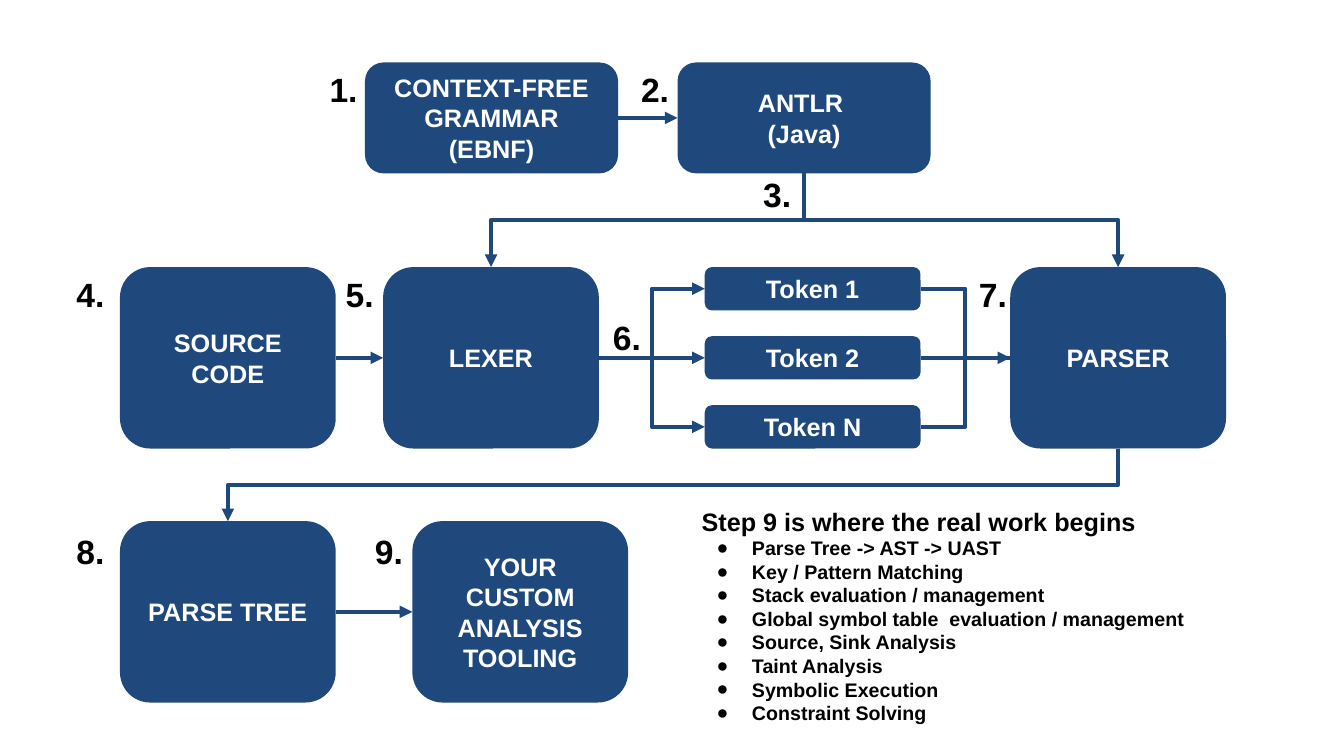
from lxml.etree import SubElement
from pptx import Presentation
from pptx.dml.color import RGBColor
from pptx.enum.shapes import MSO_CONNECTOR, MSO_SHAPE
from pptx.enum.text import MSO_ANCHOR, PP_ALIGN
from pptx.oxml.ns import qn
from pptx.util import Inches, Pt

COLORS = {"box": "1F497D", "box text": "FFFFFF", "text": "000000"}
FONT = "Arial"
TOP, LEFT, BOTTOM, RIGHT = range(4)  # connection sites of a box

# Rows and columns of the diagram, in inches
ROWS = {"generator": 0.62, "pipeline": 2.65, "result": 5.17}
SIZES = {"wide": (2.51, 1.1), "stage": (2.14, 1.8), "token": (2.14, 0.43)}
TOKEN_LEFT = 6.99
TOKENS = ["Token 1", "Token 2", "Token N"]

# name: (lines, left, row, size)
BOXES = {
    "grammar": (["CONTEXT-FREE GRAMMAR", "(EBNF)"], 3.62, "generator", "wide"),
    "antlr": (["ANTLR ", "(Java)"], 6.72, "generator", "wide"),
    "source": (["SOURCE CODE"], 1.19, "pipeline", "stage"),
    "lexer": (["LEXER"], 3.8, "pipeline", "stage"),
    "parser": (["PARSER"], 10.02, "pipeline", "stage"),
    "tree": (["PARSE TREE"], 1.19, "result", "stage"),
    "tooling": (["YOUR", "CUSTOM", "ANALYSIS", "TOOLING"], 4.09, "result", "stage"),
}

# (from, to, has an arrowhead)
ACROSS = [
    ("grammar", "antlr", True),
    ("source", "lexer", True),
    ("lexer", "Token 1", True),
    ("lexer", "Token 2", True),
    ("lexer", "Token N", True),
    ("Token 1", "parser", False),
    ("Token 2", "parser", True),
    ("Token N", "parser", False),
    ("tree", "tooling", True),
]
DOWN = [("antlr", "lexer"), ("antlr", "parser"), ("parser", "tree")]

# (left, top) of the step numbers 1 to 9
STEPS = [
    (3.17, 0.58), (6.26, 0.58), (7.47, 1.63),
    (0.66, 2.62), (3.33, 2.62), (5.98, 3.04),
    (9.61, 2.62), (0.66, 5.17), (3.62, 5.17),
]
NOTES_TITLE = "Step 9 is where the real work begins"
NOTES = [
    "Parse Tree -> AST -> UAST",
    "Key / Pattern Matching",
    "Stack evaluation / management",
    "Global symbol table  evaluation / management",
    "Source, Sink Analysis",
    "Taint Analysis",
    "Symbolic Execution",
    "Constraint Solving",
]


def color(name):
    return RGBColor.from_string(COLORS[name])


def write(shape, lines, size, color_name, alignment, anchor):
    frame = shape.text_frame
    frame.text = "\n".join(lines)
    frame.word_wrap = True
    frame.vertical_anchor = anchor
    frame.margin_left = frame.margin_right = Inches(0.1)
    frame.margin_top = frame.margin_bottom = Inches(0.1)
    for paragraph in frame.paragraphs:
        paragraph.alignment = alignment
        for run in paragraph.runs:
            run.font.name = FONT
            run.font.size = Pt(size)
            run.font.bold = True
            run.font.color.rgb = color(color_name)
    return frame


def add_box(slide, lines, left, top, size):
    width, height = SIZES[size]
    box = slide.shapes.add_shape(
        MSO_SHAPE.ROUNDED_RECTANGLE,
        Inches(left), Inches(top), Inches(width), Inches(height))
    box.shadow.inherit = False
    box.fill.solid()
    box.fill.fore_color.rgb = color("box")
    box.line.fill.background()
    write(box, lines, 18, "box text", PP_ALIGN.CENTER, MSO_ANCHOR.MIDDLE)
    return box


def add_text(slide, lines, left, top, width, height, size):
    box = slide.shapes.add_textbox(
        Inches(left), Inches(top), Inches(width), Inches(height))
    return write(box, lines, size, "text", PP_ALIGN.LEFT, MSO_ANCHOR.TOP)


def connect(slide, start, start_site, end, end_site, arrow=True):
    level = abs(start.top + start.height / 2 - end.top - end.height / 2) < Inches(0.02)
    kind = MSO_CONNECTOR.STRAIGHT if level else MSO_CONNECTOR.ELBOW
    connector = slide.shapes.add_connector(kind, 0, 0, 0, 0)
    connector.begin_connect(start, start_site)
    connector.end_connect(end, end_site)
    connector.line.color.rgb = color("box")
    connector.line.width = Pt(3)
    properties = connector._element.spPr
    if arrow:
        SubElement(connector.line._get_or_add_ln(), qn("a:tailEnd"), type="triangle")
    SubElement(properties, qn("a:effectLst"))
    return connector


def turn_downwards(connector):
    """Rotate an elbow so that it leaves and arrives vertically."""
    goes_right = connector.end_x > connector.begin_x
    left, top = connector.left, connector.top
    width, height = connector.width, connector.height
    connector.left = left + (width - height) // 2
    connector.top = top + (height - width) // 2
    connector.width, connector.height = height, width
    transform = connector._element.spPr.find(qn("a:xfrm"))
    transform.set("rot", str((270 if goes_right else 90) * 60000))
    transform.set("flipH", "1" if goes_right else "0")


def add_bullet(paragraph):
    properties = paragraph._p.get_or_add_pPr()
    properties.set("marL", str(Inches(0.5)))
    properties.set("indent", str(Inches(-0.35)))
    bullet_color = SubElement(properties, qn("a:buClr"))
    SubElement(bullet_color, qn("a:srgbClr"), val=COLORS["text"])
    SubElement(properties, qn("a:buFont"), typeface=FONT)
    SubElement(properties, qn("a:buChar"), char="●")


def main():
    presentation = Presentation()
    presentation.slide_width = Inches(13.33)
    presentation.slide_height = Inches(7.5)
    slide = presentation.slides.add_slide(presentation.slide_layouts[6])

    shapes = {name: add_box(slide, lines, left, ROWS[row], size)
              for name, (lines, left, row, size) in BOXES.items()}
    # The tokens spread evenly over the height of a stage
    pitch = (SIZES["stage"][1] - SIZES["token"][1]) / (len(TOKENS) - 1)
    for index, token in enumerate(TOKENS):
        top = ROWS["pipeline"] + index * pitch
        shapes[token] = add_box(slide, [token], TOKEN_LEFT, top, "token")

    for start, end, arrow in ACROSS:
        connect(slide, shapes[start], RIGHT, shapes[end], LEFT, arrow)
    for start, end in DOWN:
        turn_downwards(connect(slide, shapes[start], BOTTOM, shapes[end], TOP))

    for number, (left, top) in enumerate(STEPS, 1):
        add_text(slide, [f"{number}."], left, top, 0.59, 0.51, 24)

    notes = add_text(slide, [NOTES_TITLE] + NOTES, 6.86, 4.92, 5.39, 2.4, 14)
    title, *items = notes.paragraphs
    title.runs[0].font.size = Pt(18)
    for paragraph in items:
        add_bullet(paragraph)

    presentation.save("out.pptx")


if __name__ == "__main__":
    main()
